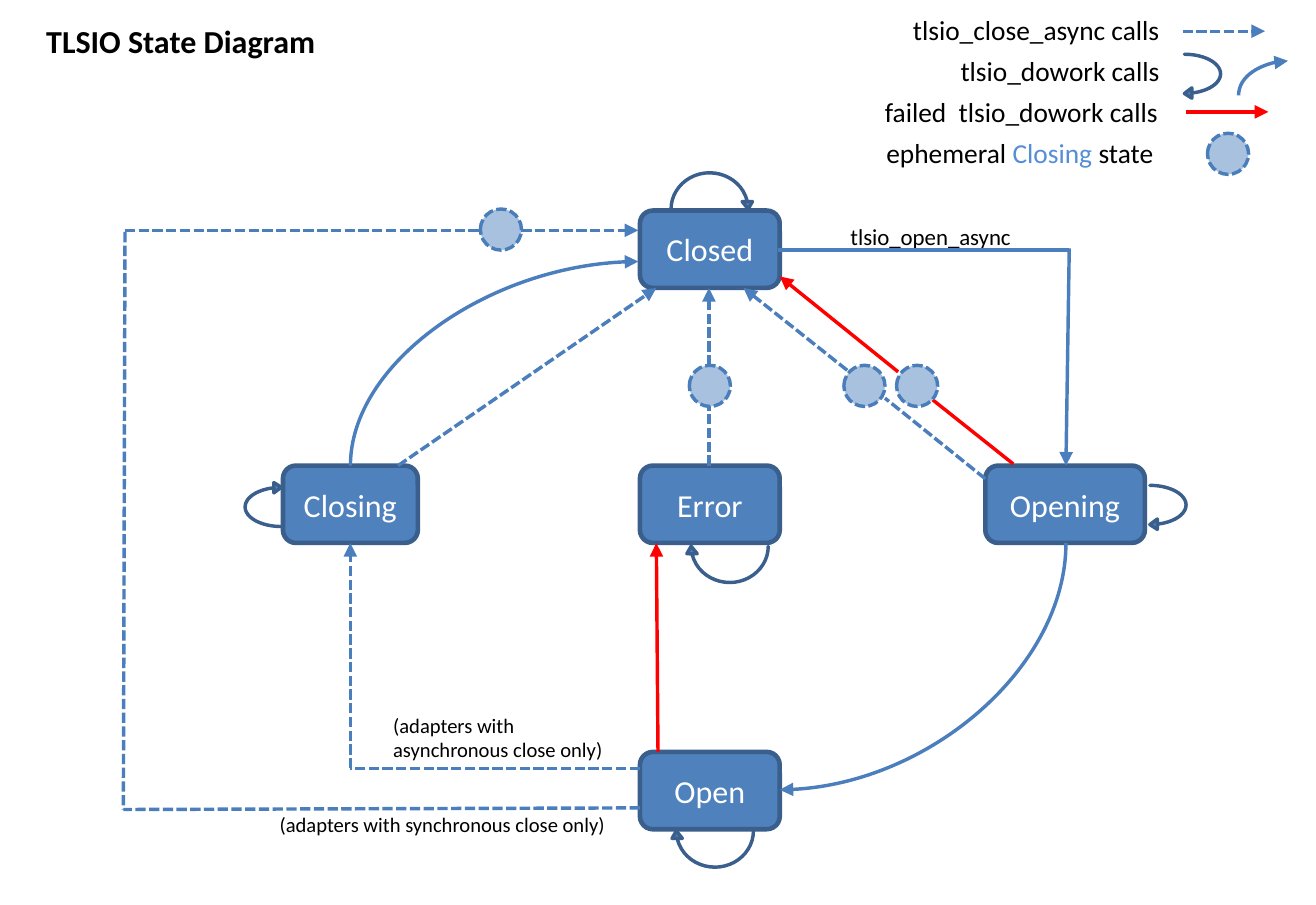
from pptx import Presentation
from pptx.dml.color import RGBColor
from pptx.enum.dml import MSO_LINE
from pptx.enum.shapes import MSO_CONNECTOR, MSO_SHAPE
from pptx.enum.text import MSO_ANCHOR, MSO_AUTO_SIZE, PP_ALIGN
from pptx.oxml.ns import qn
from pptx.util import Inches, Pt
from lxml.etree import SubElement

BLUE = RGBColor(0x4F, 0x81, 0xBD)
BORDER = RGBColor(0x3A, 0x5F, 0x8C)
LINE = RGBColor(0x4B, 0x7E, 0xBC)
RING = RGBColor(0x4A, 0x7E, 0xBB)
SKY = RGBColor(0x55, 0x8E, 0xD5)
RED = RGBColor(0xFF, 0, 0)
BLACK = RGBColor(0, 0, 0)
WHITE = RGBColor(0xFF, 0xFF, 0xFF)


class StateDiagram:
    """Draws the parts of a state diagram in one style on the current slide."""

    font = "Calibri"
    width = 1.5
    dot = 0.25

    def __init__(self, prs):
        self.slide = prs.slides.add_slide(prs.slide_layouts[5])

    def add_text(self, tf, runs, size, align, bold=False):
        p = tf.paragraphs[0]
        p.alignment = align
        for text, color in runs:
            r = p.add_run()
            r.text = text
            r.font.name = self.font
            r.font.size = Pt(size)
            r.font.bold = bold
            r.font.color.rgb = color

    def title(self, text, x, y, w, h):
        sp = self.slide.shapes.title
        sp.left, sp.top, sp.width, sp.height = map(Inches, (x, y, w, h))
        tf = sp.text_frame
        tf.word_wrap = False
        tf.auto_size = MSO_AUTO_SIZE.NONE
        tf.vertical_anchor = MSO_ANCHOR.TOP
        self.add_text(tf, [(text, BLACK)], 14, PP_ALIGN.CENTER, True)

    def label(self, runs, x, y, w, h, size, align=PP_ALIGN.LEFT, wrap=False):
        tf = self.slide.shapes.add_textbox(*map(Inches, (x, y, w, h))).text_frame
        tf.word_wrap = wrap
        tf.auto_size = MSO_AUTO_SIZE.SHAPE_TO_FIT_TEXT
        tf.margin_left = tf.margin_right = Inches(0.15)
        tf.margin_top = tf.margin_bottom = Inches(0.08)
        self.add_text(tf, runs, size, align)

    def shape(self, kind, x, y, w, h, color, width):
        sp = self.slide.shapes.add_shape(kind, *map(Inches, (x, y, w, h)))
        sp.shadow.inherit = False
        sp.fill.solid()
        sp.fill.fore_color.rgb = BLUE
        sp.line.color.rgb = color
        sp.line.width = Pt(width)
        return sp

    def state(self, name, x, y, w):
        sp = self.shape(MSO_SHAPE.ROUNDED_RECTANGLE, x, y, w, 0.47, BORDER, 2)
        sp.text_frame.vertical_anchor = MSO_ANCHOR.MIDDLE
        self.add_text(sp.text_frame, [(name, WHITE)], 14, PP_ALIGN.CENTER)

    def loop(self, x, y, h, rotation=0):
        sp = self.shape(MSO_SHAPE.CURVED_LEFT_ARROW, x, y, 0.22, h, BORDER, self.width)
        sp.rotation = rotation
        for i, value in enumerate((0, 0.286, 0.207)):
            sp.adjustments[i] = value

    def ephemeral(self, x, y):
        sp = self.shape(MSO_SHAPE.OVAL, x, y, self.dot, self.dot, RING, self.width)
        sp.line.dash_style = MSO_LINE.SQUARE_DOT
        clr = sp.element.spPr.find(qn("a:solidFill")).find(qn("a:srgbClr"))
        SubElement(clr, qn("a:alpha")).set("val", "49000")

    def line(self, x1, y1, x2, y2, color=LINE, dash=False, arrow=True,
             kind=MSO_CONNECTOR.STRAIGHT):
        c = self.slide.shapes.add_connector(kind, *map(Inches, (x1, y1, x2, y2)))
        c.line.color.rgb = color
        c.line.width = Pt(self.width)
        if dash:
            c.line.dash_style = MSO_LINE.SQUARE_DOT
        spPr = c.element.spPr
        if arrow:
            SubElement(spPr.find(qn("a:ln")), qn("a:tailEnd")).set("type", "triangle")
        SubElement(spPr, qn("a:effectLst"))
        return spPr

    def curve(self, x1, y1, x2, y2):
        cx, cy = (x1 + x2) / 2, (y1 + y2) / 2
        dx, dy = (x2 - x1) / 2, (y2 - y1) / 2
        spPr = self.line(cx - dy, cy + dx, cx + dy, cy - dx, kind=MSO_CONNECTOR.CURVE)
        spPr.find(qn("a:xfrm")).set("rot", "5400000")
        spPr.find(qn("a:prstGeom")).set("prst", "curvedConnector2")


prs = Presentation()
prs.slide_width, prs.slide_height = Inches(8), Inches(5.5)
d = StateDiagram(prs)

d.title("TLSIO State Diagram", 0.17, 0.08, 1.86, 0.34)
d.label([("(adapters with asynchronous close only)", BLACK)],
        2.24, 4.25, 1.63, 0.46, 9, wrap=True)
d.label([("(adapters with synchronous close only)", BLACK)], 1.55, 4.86, 2.37, 0.3, 9)
d.label([("tlsio_open_async", BLACK)], 5.02, 1.27, 1.29, 0.32, 10)

legend = [
    ([("tlsio_close_async calls", BLACK)], 5.37, 1.83),
    ([("tlsio_dowork calls", BLACK)], 5.62, 1.58),
    ([("failed  tlsio_dowork calls", BLACK)], 5.2, 1.99),
    ([("ephemeral", BLACK), (" Closing ", SKY), ("state", BLACK)], 5.14, 2.02),
]
for i, (runs, x, w) in enumerate(legend):
    d.label(runs, x, 0.25 * i, w, 0.36, 12, PP_ALIGN.RIGHT)

for name, x, y, w in [("Closed", 3.89, 1.28, 0.85), ("Opening", 5.99, 2.83, 0.97),
                      ("Closing", 1.72, 2.83, 0.82), ("Open", 3.89, 4.57, 0.85),
                      ("Error", 3.89, 2.83, 0.85)]:
    d.state(name, x, y, w)

for ends in [(2.13, 4.67, 2.13, 3.3), (4.31, 2.22, 4.31, 1.75), (3.17, 1.4, 3.88, 1.4),
             (5.15, 2.25, 4.52, 1.75), (2.42, 2.83, 3.99, 1.75), (7.19, 0.19, 7.69, 0.19)]:
    d.line(*ends, dash=True)
for ends in [(3.89, 4.67, 2.13, 4.67), (3.89, 4.91, 0.75, 4.92), (0.76, 1.41, 0.75, 4.92),
             (4.31, 2.83, 4.31, 2.47), (0.76, 1.4, 2.92, 1.4), (5.99, 2.91, 5.38, 2.42)]:
    d.line(*ends, dash=True, arrow=False)
for ends in [(5.46, 2.26, 4.74, 1.68), (7.21, 0.68, 7.71, 0.68), (4, 4.57, 3.99, 3.3)]:
    d.line(*ends, color=RED)
d.line(6.16, 2.82, 5.67, 2.43, color=RED, arrow=False)
d.line(4.73, 1.52, 6.5, 1.52, arrow=False)
d.line(6.5, 1.51, 6.48, 2.83)

for ends in [(6.48, 3.3, 4.74, 4.8), (2.13, 2.83, 3.88, 1.59), (7.53, 0.58, 7.83, 0.37)]:
    d.curve(*ends)
for place in [(7.2, 0.33, 0.27), (6.99, 2.95, 0.27), (1.49, 2.93, 0.27, 180),
              (4.22, 4.91, 0.5, 90), (4.31, 3.18, 0.5, 90), (4.22, 0.91, 0.5, 270)]:
    d.loop(*place)
for x, y in [(2.92, 1.27), (7.34, 0.81), (4.19, 2.22), (5.13, 2.22), (5.45, 2.22)]:
    d.ephemeral(x, y)

prs.save("out.pptx")
